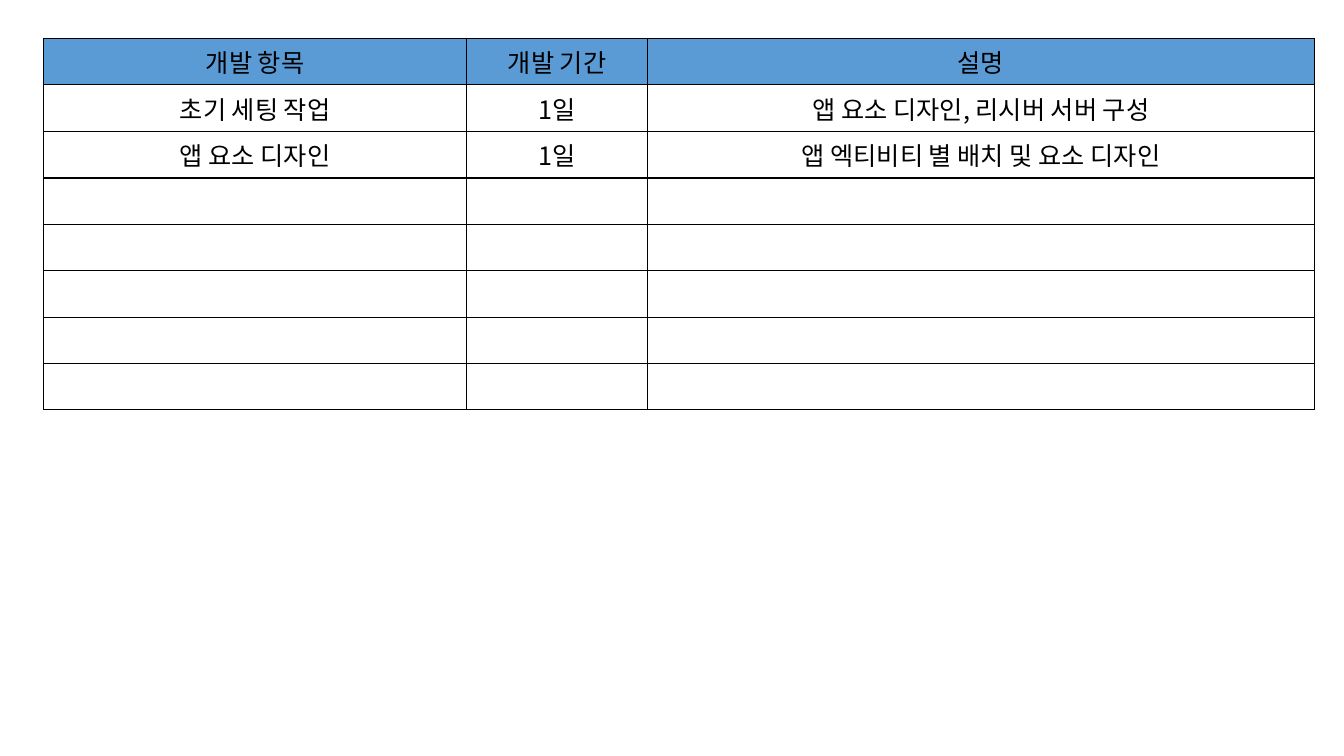
from lxml import etree
from pptx import Presentation
from pptx.dml.color import RGBColor
from pptx.enum.text import PP_ALIGN
from pptx.oxml.ns import qn
from pptx.util import Inches, Pt

CENTER = PP_ALIGN.CENTER
BLACK = RGBColor(0x00, 0x00, 0x00)
HEADER_BLUE = RGBColor(0x5B, 0x9B, 0xD5)
FONT = "Noto Sans CJK KR"
COLUMN_WIDTHS = [4.2, 1.79, 6.62]
ROW_HEIGHT = 0.46
ROW_COUNT = 8
SCHEDULE = [
    ["개발 항목", "개발 기간", "설명"],
    ["초기 세팅 작업", "1일", "앱 요소 디자인, 리시버 서버 구성"],
    ["앱 요소 디자인", "1일", "앱 엑티비티 별 배치 및 요소 디자인"],
]


def add_borders(cell):
    properties = cell._tc.get_or_add_tcPr()
    for position, side in enumerate(["lnL", "lnR", "lnT", "lnB"]):
        line = etree.Element(qn(f"a:{side}"), w=str(Pt(1)))
        fill = etree.SubElement(line, qn("a:solidFill"))
        etree.SubElement(fill, qn("a:srgbClr"), val=str(BLACK))
        properties.insert(position, line)


deck = Presentation()
deck.slide_width = Inches(13.33)
deck.slide_height = Inches(7.5)
slide = deck.slides.add_slide(deck.slide_layouts[6])

frame = slide.shapes.add_table(
    ROW_COUNT, len(COLUMN_WIDTHS), Inches(0.43), Inches(0.38),
    Inches(sum(COLUMN_WIDTHS)), Inches(ROW_HEIGHT * ROW_COUNT))
table = frame.table
table.first_row = False
table.horz_banding = False
for column, width in zip(table.columns, COLUMN_WIDTHS):
    column.width = Inches(width)
for row in table.rows:
    row.height = Inches(ROW_HEIGHT)

for cell in table.iter_cells():
    cell.fill.background()
    add_borders(cell)

for cell in table.rows[0].cells:
    cell.fill.solid()
    cell.fill.fore_color.rgb = HEADER_BLUE

for row, texts in zip(table.rows, SCHEDULE):
    for cell, text in zip(row.cells, texts):
        para = cell.text_frame.paragraphs[0]
        para.alignment = CENTER
        span = para.add_run()
        span.text = text
        span.font.size = Pt(18)
        span.font.color.rgb = BLACK
        span.font.name = FONT
        etree.SubElement(span.font._element, qn("a:ea"), typeface=FONT)

deck.save("out.pptx")
